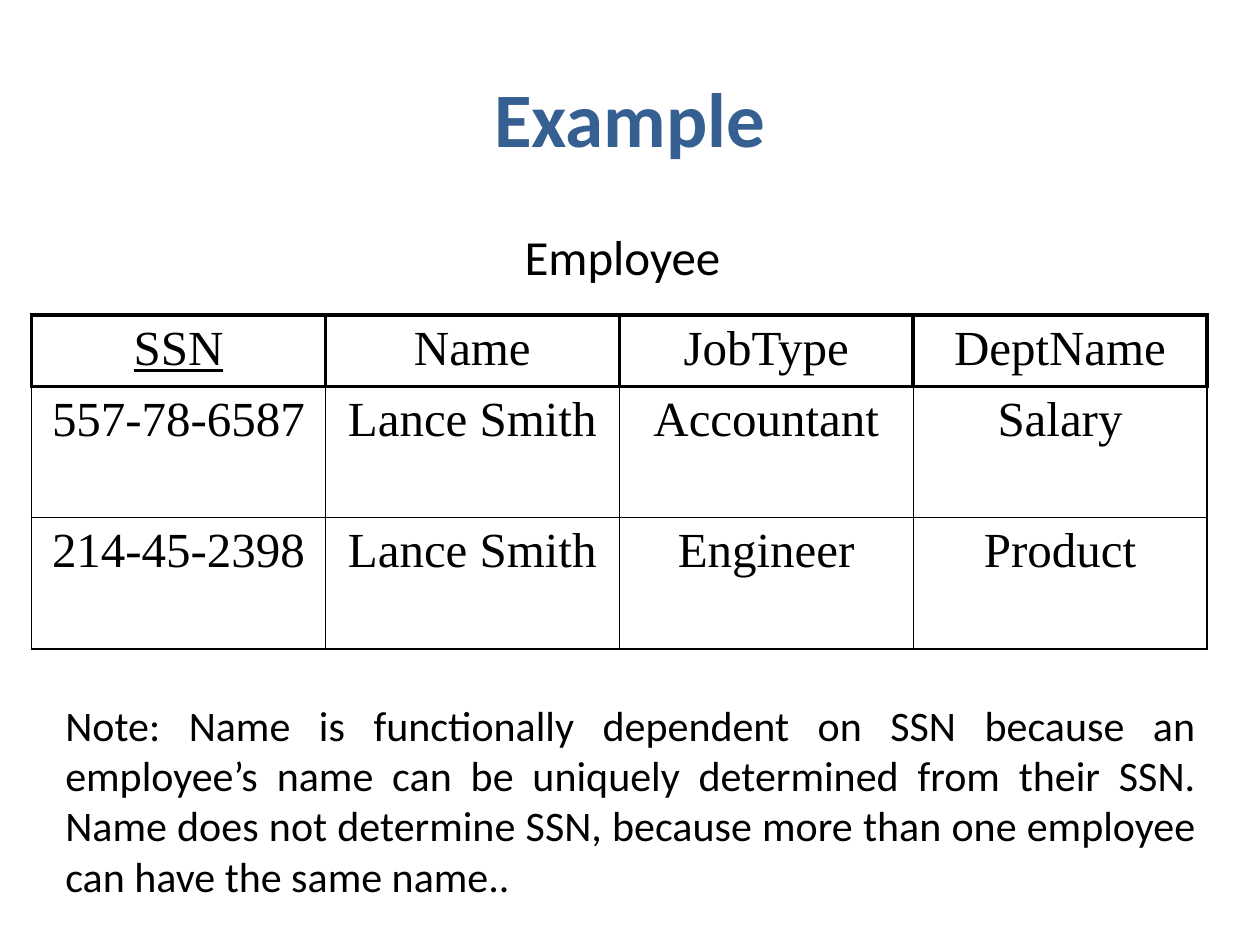
"""Builds the Employee functional dependency example slide."""
from dataclasses import dataclass

import pptx
import pptx.dml.color
import pptx.enum.text
import pptx.oxml.ns
import pptx.util
from lxml import etree
from pptx.util import Inches

Align = pptx.enum.text.PP_ALIGN
Anchor = pptx.enum.text.MSO_ANCHOR


@dataclass(frozen=True)
class Theme:
    title_color: str = "376092"
    ink: str = "000000"
    sans: str = "Calibri"
    serif: str = "Times New Roman"
    title_size: int = 44
    table_size: int = 28
    note_size: int = 24
    heavy: float = 2.21
    medium: float = 1.08
    thin: float = 0.45


theme = Theme()


def write(frame, text, size, align, font=theme.sans, color=theme.ink):
    frame.word_wrap = True
    paragraph = frame.paragraphs[0]
    paragraph.text = text
    paragraph.alignment = align
    paragraph.font.name = font
    paragraph.font.size = pptx.util.Pt(size)
    paragraph.font.color.rgb = pptx.dml.color.RGBColor.from_string(color)
    return paragraph


def set_borders(cell, **widths):
    properties = cell._tc.get_or_add_tcPr()
    for position, (side, width) in enumerate(widths.items()):
        line = etree.Element(pptx.oxml.ns.qn(f"a:ln{side}"), w=str(pptx.util.Pt(width)))
        fill = etree.SubElement(line, pptx.oxml.ns.qn("a:solidFill"))
        etree.SubElement(fill, pptx.oxml.ns.qn("a:srgbClr"), val=theme.ink)
        properties.insert(position, line)


presentation = pptx.Presentation()
presentation.slide_width = Inches(10)
presentation.slide_height = Inches(7.5)
slide = presentation.slides.add_slide(presentation.slide_layouts[6])

title = slide.shapes.add_textbox(Inches(0.5), Inches(0.3), Inches(9), Inches(1.25))
title.text_frame.vertical_anchor = Anchor.MIDDLE
heading = write(title.text_frame, "Example", theme.title_size, Align.CENTER, color=theme.title_color)
heading.font.bold = True

caption = slide.shapes.add_textbox(Inches(0.15), Inches(1.75), Inches(9.58), Inches(0.6))
write(caption.text_frame, "Employee", theme.table_size, Align.CENTER)

employees = [
    ["SSN", "Name", "JobType", "DeptName"],
    ["557-78-6587", "Lance Smith", "Accountant", "Salary"],
    ["214-45-2398", "Lance Smith", "Engineer", "Product"],
]
row_heights = [0.57, 1.04, 1.04]
last_row, last_column = len(employees) - 1, len(employees[0]) - 1
table = slide.shapes.add_table(
    len(employees), len(employees[0]),
    Inches(0.25), Inches(2.5), Inches(9.33), Inches(sum(row_heights)),
).table
table.first_row = False
table.horz_banding = False

for row, values in enumerate(employees):
    table.rows[row].height = Inches(row_heights[row])
    for column, value in enumerate(values):
        cell = table.cell(row, column)
        cell.fill.background()
        paragraph = write(cell.text_frame, value, theme.table_size, Align.CENTER, theme.serif)
        if row == 0:
            paragraph.font.underline = value == "SSN"
            set_borders(cell, L=theme.heavy, R=theme.heavy, T=theme.heavy, B=theme.heavy)
        else:
            set_borders(
                cell,
                L=theme.medium if column == 0 else theme.thin,
                R=theme.medium if column == last_column else theme.thin,
                T=theme.heavy if row == 1 else theme.thin,
                B=theme.medium if row == last_row else theme.thin,
            )

note = slide.shapes.add_textbox(Inches(0.42), Inches(5.5), Inches(9.17), Inches(1.7))
write(
    note.text_frame,
    "Note: Name is functionally dependent on SSN because an employee’s name can be "
    "uniquely determined from their SSN. Name does not determine SSN, because more "
    "than one employee can have the same name..",
    theme.note_size, Align.JUSTIFY,
)

presentation.save("out.pptx")
